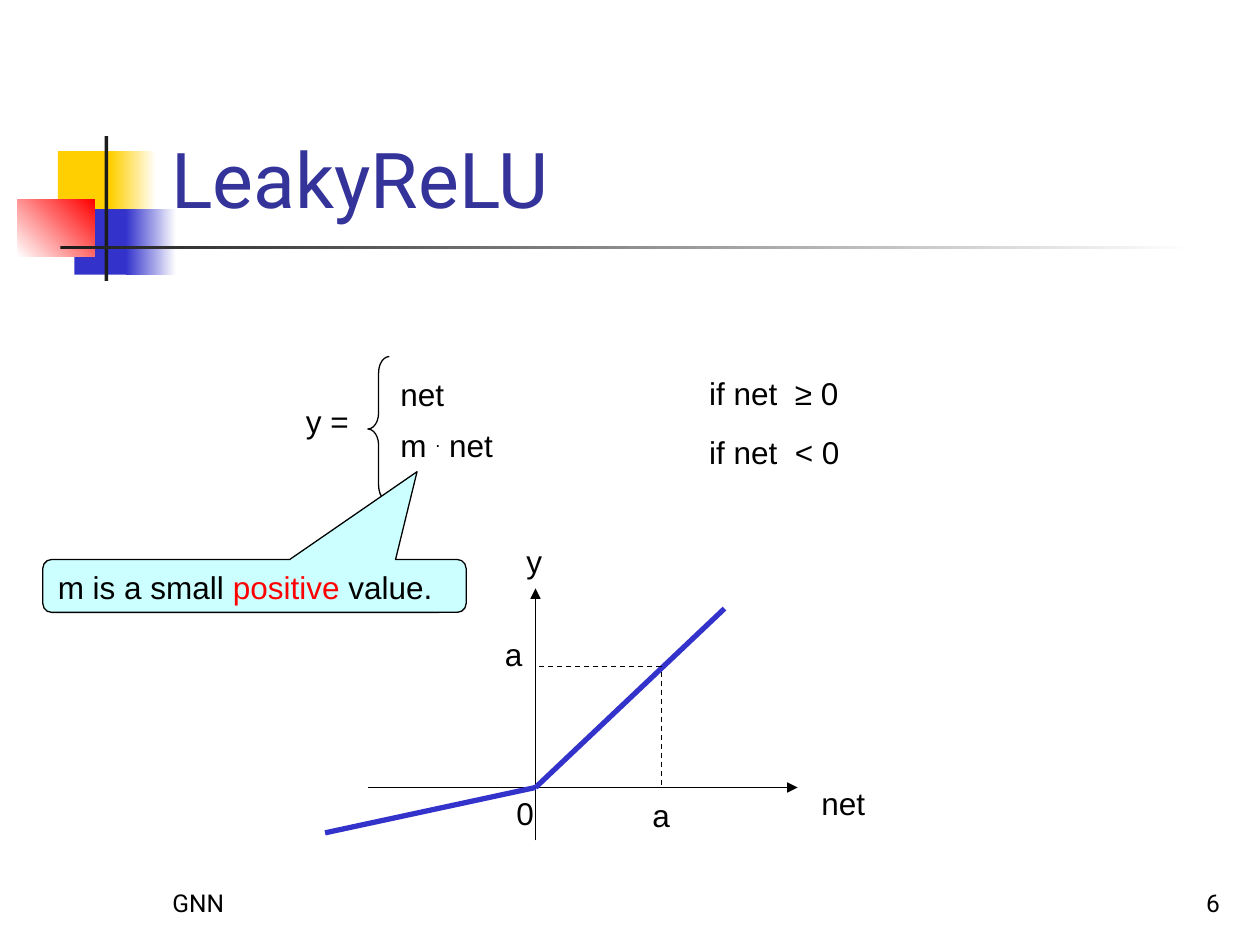
from dataclasses import dataclass
from typing import Optional

from lxml.etree import SubElement
from pptx import Presentation
from pptx.dml.color import RGBColor
from pptx.enum.dml import MSO_LINE
from pptx.enum.shapes import MSO_CONNECTOR, MSO_SHAPE
from pptx.enum.text import MSO_ANCHOR, MSO_AUTO_SIZE, PP_ALIGN
from pptx.oxml.ns import qn
from pptx.util import Inches, Pt


@dataclass(frozen=True)
class Theme:
    """Colours, fonts and sizes of the slide."""
    ink: str = "000000"
    bar: str = "1C1C1C"
    title: str = "333399"
    blue: str = "3333CC"
    yellow: str = "FFCF01"
    red: str = "FF0000"
    white: str = "FFFFFF"
    note: str = "CCFFFF"
    head_font: str = "Roboto"
    body_font: str = "Arial"
    title_size: float = 44
    body_size: float = 18
    foot_size: float = 14
    thin: float = 0.75
    thick: float = 3


@dataclass(frozen=True)
class Block:
    """A decorative rectangle, plain or with a two-colour gradient."""
    box: tuple
    color: str
    end: Optional[str] = None
    angle: float = 0


@dataclass(frozen=True)
class Label:
    """A short unwrapped text at a place."""
    text: str
    left: float
    top: float
    width: float


@dataclass(frozen=True)
class Stroke:
    """A straight line of the graph."""
    start: tuple
    end: tuple
    color: str
    width: float
    dashed: bool = False
    arrow: bool = False


T = Theme()
ORIGIN_X, ORIGIN_Y = 4.25, 6.25
A_X, A_Y = 5.25, 5.29

BLOCKS = [
    Block((0.46, 1.2, 0.48, 0.52), T.yellow),
    Block((0.88, 1.2, 0.36, 0.52), T.yellow, T.white),
    Block((0.59, 1.66, 0.46, 0.52), T.blue),
    Block((1, 1.66, 0.4, 0.52), T.blue, T.white),
    Block((0.14, 1.58, 0.61, 0.46), T.white, T.red, 45),
    Block((0.83, 1.08, 0.03, 1.15), T.bar),
    Block((0.48, 1.95, 9, 0.03), T.bar, T.white),
]
LABELS = [
    Label("y =", 2.33, 3.14, 0.61),
    Label("net", 3.08, 2.93, 0.69),
    Label("if net  ≥ 0", 5.53, 2.92, 1.37),
    Label("if net  < 0", 5.53, 3.39, 1.37),
    Label("0", 4, 6.25, 0.34),
    Label("net", 6.42, 6.17, 0.55),
    Label("y", 4.08, 4.25, 0.33),
    Label("a", 5.08, 6.27, 0.34),
    Label("a", 3.91, 4.99, 0.34),
]
STROKES = [
    Stroke((2.92, ORIGIN_Y), (6.33, ORIGIN_Y), T.ink, T.thin, arrow=True),
    Stroke((ORIGIN_X, 6.67), (ORIGIN_X, 4.67), T.ink, T.thin, arrow=True),
    Stroke((2.58, 6.61), (ORIGIN_X, ORIGIN_Y), T.blue, T.thick),
    Stroke((5.75, 4.83), (ORIGIN_X, ORIGIN_Y), T.blue, T.thick),
    Stroke((A_X, 5.33), (A_X, ORIGIN_Y), T.ink, T.thin, dashed=True),
    Stroke((A_X, A_Y), (4.27, A_Y), T.ink, T.thin, dashed=True),
]


def rgb(color: str) -> RGBColor:
    """Turn a hex string into a colour."""
    return RGBColor.from_string(color)


def add_run(p, text: str, color: str = T.ink, size: float = T.body_size,
            font: str = T.body_font):
    """Append a formatted run to a paragraph."""
    r = p.add_run()
    r.text = text
    r.font.name, r.font.size = font, Pt(size)
    r.font.color.rgb = rgb(color)
    return r


def add_shape(s, kind, box: tuple):
    """Add a preset shape without a shadow."""
    sp = s.shapes.add_shape(kind, *map(Inches, box))
    sp.shadow.inherit = False
    return sp


def outline(sp) -> None:
    """Give a shape the thin ink outline."""
    sp.line.color.rgb = rgb(T.ink)
    sp.line.width = Pt(T.thin)


def add_block(s, b: Block) -> None:
    """Draw one decorative rectangle."""
    sp = add_shape(s, MSO_SHAPE.RECTANGLE, b.box)
    sp.line.fill.background()
    if b.end is None:
        sp.fill.solid()
        sp.fill.fore_color.rgb = rgb(b.color)
        return
    sp.fill.gradient()
    sp.fill.gradient_angle = b.angle
    for stop, color in zip(sp.fill.gradient_stops, (b.color, b.end)):
        stop.color.rgb = rgb(color)


def add_label(s, label: Label):
    """Draw an unwrapped label and return its paragraph."""
    tf = s.shapes.add_textbox(*map(Inches, (label.left, label.top, label.width, 0.4))).text_frame
    tf.word_wrap = False
    tf.auto_size = MSO_AUTO_SIZE.SHAPE_TO_FIT_TEXT
    p = tf.paragraphs[0]
    add_run(p, label.text)
    return p


def add_footer(s, text: str, left: float, align) -> None:
    """Draw a footer text at the bottom of the slide."""
    tf = s.shapes.add_textbox(*map(Inches, (left, 6.83, 2.08, 0.5))).text_frame
    tf.word_wrap = True
    tf.vertical_anchor = MSO_ANCHOR.BOTTOM
    p = tf.paragraphs[0]
    p.alignment = align
    add_run(p, text, size=T.foot_size, font=T.head_font)


def add_stroke(s, k: Stroke) -> None:
    """Draw a graph line with its dash or arrowhead."""
    c = s.shapes.add_connector(MSO_CONNECTOR.STRAIGHT, *map(Inches, k.start + k.end))
    c.line.color.rgb = rgb(k.color)
    c.line.width = Pt(k.width)
    if k.dashed:
        c.line.dash_style = MSO_LINE.DASH
    spPr = c._element.spPr
    if k.arrow:
        SubElement(spPr.find(qn("a:ln")), qn("a:tailEnd"), type="triangle")
    SubElement(spPr, qn("a:effectLst"))


def add_title(s, text: str) -> None:
    """Place and format the title."""
    sp = s.shapes.title
    sp.left, sp.top, sp.width, sp.height = map(Inches, (1.26, 0.23, 8.52, 1.6))
    tf = sp.text_frame
    tf.vertical_anchor = MSO_ANCHOR.BOTTOM
    p = tf.paragraphs[0]
    p.alignment = PP_ALIGN.LEFT
    add_run(p, text, T.title, T.title_size, T.head_font)


def add_callout(s) -> None:
    """Draw the note that explains m."""
    sp = add_shape(s, MSO_SHAPE.ROUNDED_RECTANGULAR_CALLOUT, (0.34, 4.44, 3.36, 0.42))
    for i, value in enumerate((0.384, -2.158, 0.167)):
        sp.adjustments[i] = value
    sp.fill.solid()
    sp.fill.fore_color.rgb = rgb(T.note)
    outline(sp)
    tf = sp.text_frame
    tf.vertical_anchor = MSO_ANCHOR.TOP
    p = tf.paragraphs[0]
    p.alignment = PP_ALIGN.LEFT
    for text, color in (("m is a small ", T.ink), ("positive ", T.red), ("value.", T.ink)):
        add_run(p, text, color)


def main() -> None:
    """Build and save the slide."""
    prs = Presentation()
    prs.slide_width, prs.slide_height = Inches(10), Inches(7.5)
    s = prs.slides.add_slide(prs.slide_layouts[5])
    for b in BLOCKS:
        add_block(s, b)
    add_title(s, "LeakyReLU")
    add_footer(s, "GNN", 1.27, PP_ALIGN.LEFT)
    add_footer(s, "6", 7.7, PP_ALIGN.RIGHT)
    brace = add_shape(s, MSO_SHAPE.LEFT_BRACE, (2.92, 2.83, 0.17, 1.15))
    brace.adjustments[0] = 0.752
    brace.fill.background()
    outline(brace)
    for k in STROKES:
        add_stroke(s, k)
    for label in LABELS:
        add_label(s, label)
    p = add_label(s, Label("m ", 3.08, 3.33, 1.04))
    add_run(p, ".").font._element.set("baseline", "30000")
    add_run(p, " net")
    add_callout(s)
    prs.save("out.pptx")


if __name__ == "__main__":
    main()
